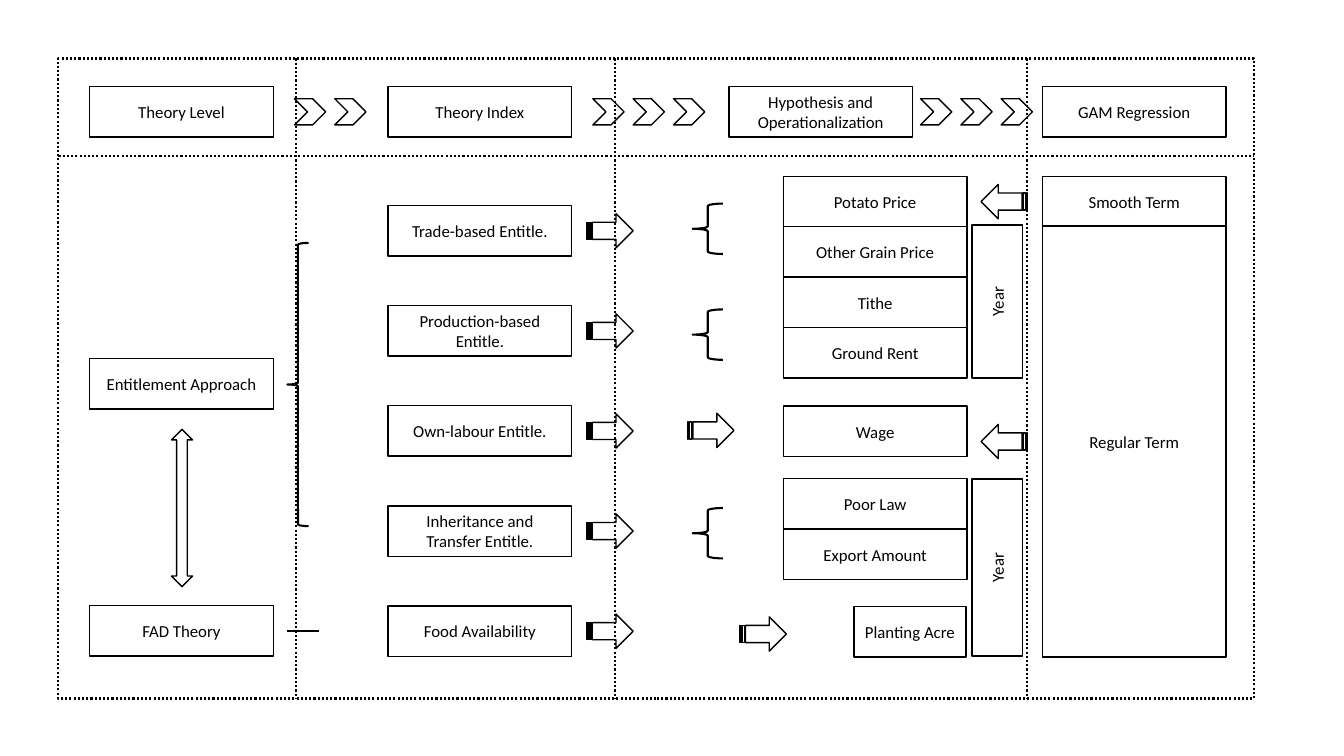
from dataclasses import dataclass

from lxml import etree
from pptx import Presentation
from pptx.dml.color import RGBColor
from pptx.enum import dml, shapes, text
from pptx.util import Inches, Pt


@dataclass(frozen=True)
class Theme:
    ink: RGBColor = RGBColor(0, 0, 0)
    paper: RGBColor = RGBColor(255, 255, 255)
    font: str = "Calibri"
    size: Pt = Pt(12)
    thin: Pt = Pt(1)
    thick: Pt = Pt(1.5)


theme = Theme()
KIND = shapes.MSO_SHAPE
BOX_W, BOX_H = 1.82, 0.5
LEVEL_X, INDEX_X, VARIABLE_X, MODEL_X = 0.89, 3.85, 7.77, 10.34
FRAME_X, FRAME_Y, FRAME_W, FRAME_H = 0.58, 0.58, 11.86, 6.35

prs = Presentation()
prs.slide_width, prs.slide_height = Inches(13.33), Inches(7.5)
s = prs.slides.add_slide(prs.slide_layouts[6])


def add_shape(kind, x, y, w=BOX_W, h=BOX_H, label="", rotation=0, filled=True):
    sp = s.shapes.add_shape(kind, Inches(x), Inches(y), Inches(w), Inches(h))
    sp.shadow.inherit = False
    sp.rotation = rotation
    if filled:
        sp.fill.solid()
        sp.fill.fore_color.rgb = theme.paper
    else:
        sp.fill.background()
    sp.line.color.rgb = theme.ink
    sp.line.width = theme.thin if filled else theme.thick
    if label:
        tf = sp.text_frame
        tf.word_wrap = True
        tf.vertical_anchor = text.MSO_ANCHOR.MIDDLE
        tf.text = label
        p = tf.paragraphs[0]
        p.alignment = text.PP_ALIGN.CENTER
        r = p.runs[0]
        r.font.name, r.font.size = theme.font, theme.size
        r.font.color.rgb = theme.ink
    return sp


def add_line(x1, y1, x2, y2, dash=dml.MSO_LINE.ROUND_DOT):
    line = s.shapes.add_connector(
        shapes.MSO_CONNECTOR.STRAIGHT, Inches(x1), Inches(y1), Inches(x2), Inches(y2))
    line.line.color.rgb = theme.ink
    line.line.width = theme.thick
    line.line.dash_style = dash
    props = line._element.spPr
    etree.SubElement(props, props.nsmap["a"].join("{}") + "effectLst")


# Theories
add_shape(KIND.RECTANGLE, LEVEL_X, 3.56, label="Entitlement Approach")
add_shape(KIND.RECTANGLE, LEVEL_X, 6.01, label="FAD Theory")
add_shape(KIND.UP_DOWN_ARROW, 1.7, 4.26, 0.21, 1.56)
add_shape(KIND.LEFT_BRACE, 2.85, 2.41, 0.21, 2.81, filled=False)
add_line(2.85, 6.26, 3.16, 6.26, dash=dml.MSO_LINE.SOLID)

# Theory indexes, each with an arrow to its variables
indexes = ["Trade-based Entitle.", "Production-based Entitle.", "Own-labour Entitle.",
           "Inheritance and Transfer Entitle.", "Food Availability"]
for i, label in enumerate(indexes):
    y = 2.04 + 0.993 * i
    add_shape(KIND.RECTANGLE, INDEX_X, y, label=label)
    add_shape(KIND.STRIPED_RIGHT_ARROW, 5.82, y + 0.08, 0.46, 0.34)

# Variables, stacked in groups
variable_groups = [
    (1.75, ["Potato Price", "Other Grain Price", "Tithe", "Ground Rent"]),
    (4.03, ["Wage"]),
    (4.75, ["Poor Law", "Export Amount"]),
]
for top, labels in variable_groups:
    for i, label in enumerate(labels):
        add_shape(KIND.RECTANGLE, VARIABLE_X, top + BOX_H * i, label=label)
add_shape(KIND.RECTANGLE, 8.47, 6.02, 1.11, label="Planting Acre")

for y in (2.02, 3.07, 5.04):
    add_shape(KIND.LEFT_BRACE, 6.87, y, 0.3, filled=False)
for x, y, rotation in [(6.82, 4.1, 0), (7.34, 6.12, 0), (9.73, 1.83, 180), (9.73, 4.21, 180)]:
    add_shape(KIND.STRIPED_RIGHT_ARROW, x, y, 0.46, 0.34, rotation=rotation)

# Model terms
add_shape(KIND.RECTANGLE, MODEL_X, 1.75, label="Smooth Term")
add_shape(KIND.RECTANGLE, MODEL_X, 2.24, h=4.28, label="Regular Term")
for x, y, w in [(9.13, 2.74, 1.52), (9.01, 5.38, 1.76)]:
    add_shape(KIND.RECTANGLE, x, y, w, label="Year", rotation=270)

# Header row
headers = [(LEVEL_X, "Theory Level"), (INDEX_X, "Theory Index"),
           (7.23, "Hypothesis and Operationalization"), (MODEL_X, "GAM Regression")]
for x, label in headers:
    add_shape(KIND.RECTANGLE, x, 0.86, label=label)
for left, count in [(2.92, 2), (5.88, 3), (9.13, 3)]:
    for i in range(count):
        add_shape(KIND.CHEVRON, left + 0.4 * i, 0.98, 0.31, 0.26)

# Dotted grid
frame = add_shape(KIND.RECTANGLE, FRAME_X, FRAME_Y, FRAME_W, FRAME_H, filled=False)
frame.line.dash_style = dml.MSO_LINE.ROUND_DOT
for x in (2.94, 6.1, 10.19):
    add_line(x, FRAME_Y, x, FRAME_Y + FRAME_H)
add_line(FRAME_X, 1.55, FRAME_X + FRAME_W, 1.55)

prs.save("out.pptx")
